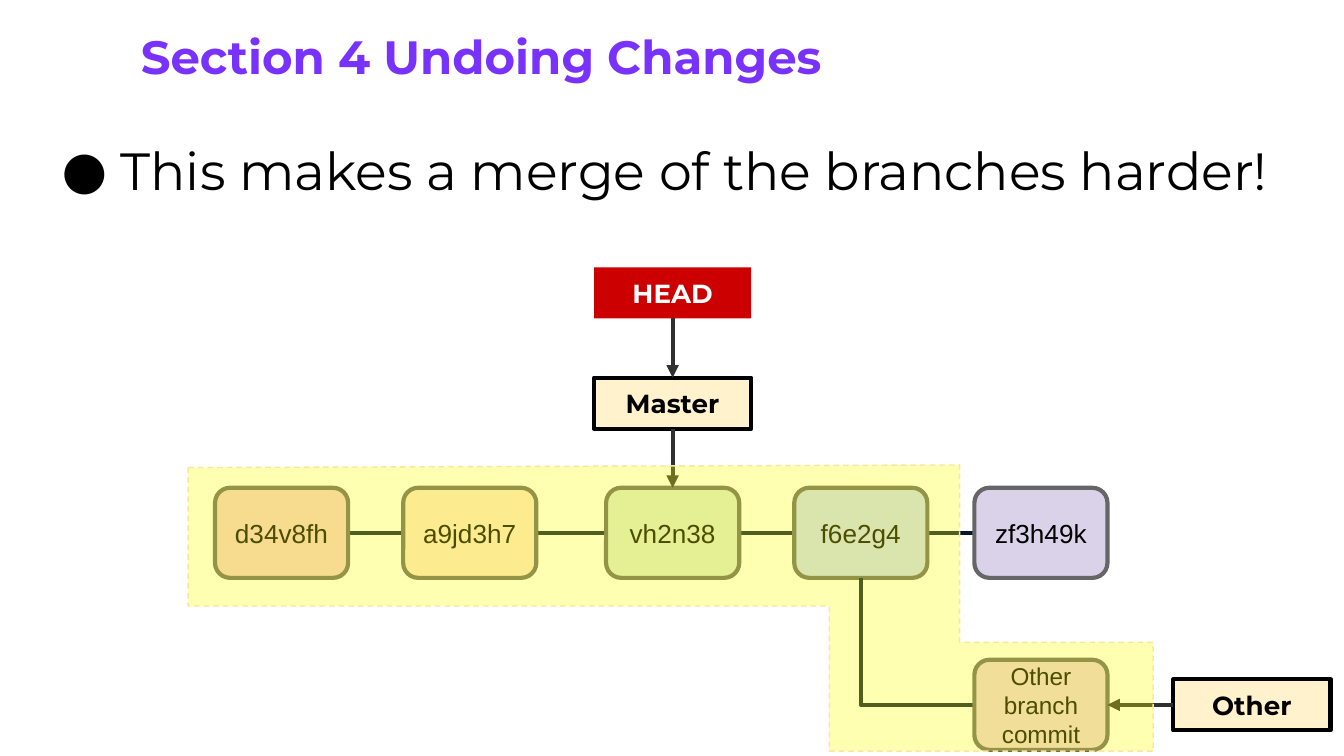
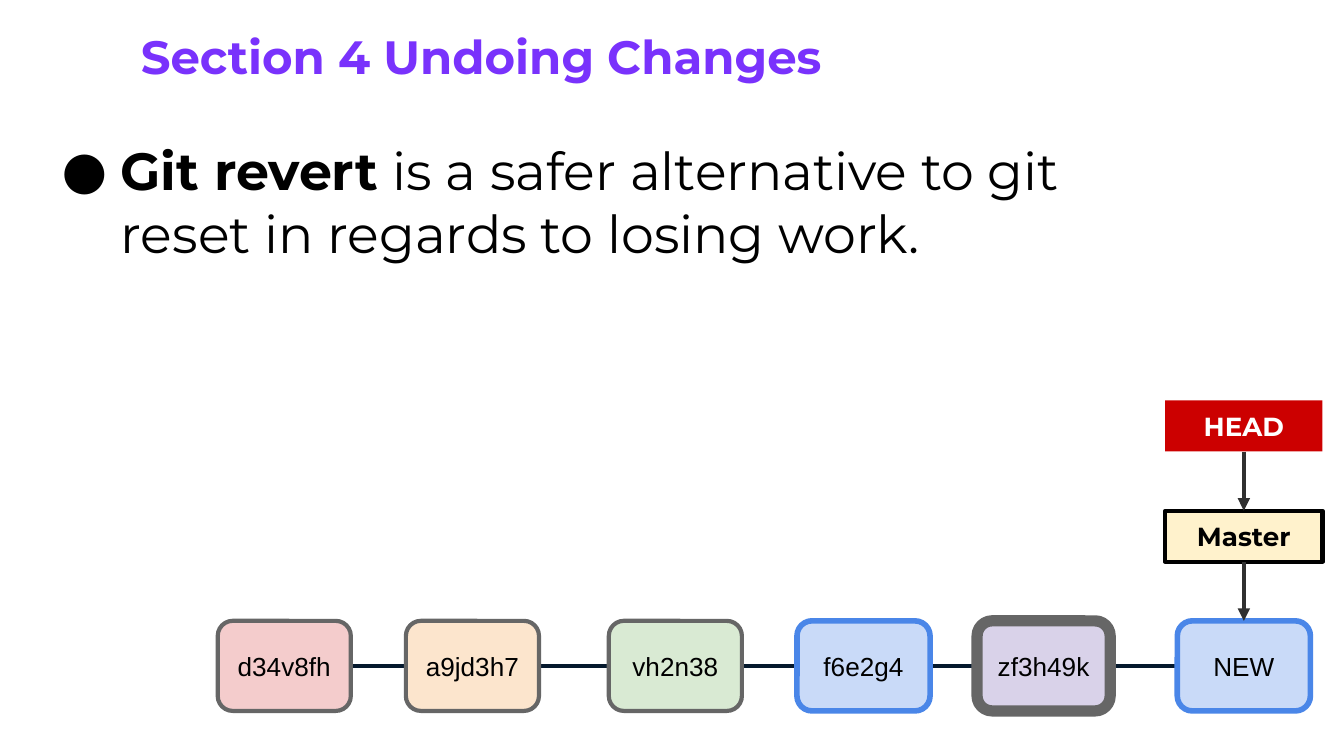
"""Build two slides that show how branches move when changes are undone."""
from pptx import Presentation
from pptx.dml.color import RGBColor
from pptx.enum.dml import MSO_LINE
from pptx.enum.shapes import MSO_CONNECTOR, MSO_SHAPE
from pptx.enum.text import MSO_ANCHOR, MSO_AUTO_SIZE, PP_ALIGN
from pptx.oxml.ns import qn
from pptx.util import Inches, Pt
from lxml.etree import SubElement

HUES = {
    "title": "7932FC", "text": "000000", "white": "FFFFFF", "edge": "666666",
    "link": "05192D", "arrow": "303030", "head": "CC0000", "tag": "FFF2CC",
    "pink": "F4CCCC", "peach": "FCE5CD", "green": "D9EAD3", "blue": "C9DAF8",
    "lilac": "D9D2E9", "rose": "EAD1DC", "new": "4A86E8",
    "glow": "FFFF00", "dash": "FFE599",
}
SANS, HEAVY = "Arial", "Montserrat"
WIDE, HIGH = Inches(10), Inches(5.625)
UNIT = WIDE // 1000
BOX_W, BOX_H = 99, 67
TAG_W, TAG_H = 117, 38
STEP = 82
COLS = [160, 300, 451, 591, 725, 874]
NODES = [("d34v8fh", "pink"), ("a9jd3h7", "peach"), ("vh2n38", "green"),
         ("f6e2g4", "blue"), ("zf3h49k", "lilac"), ("NEW", "blue")]


def grid(*cells):
    """Turn grid cells into slide lengths."""
    return [round(cell * UNIT) for cell in cells]


def hue(name):
    """Look up a named colour."""
    return RGBColor.from_string(HUES[name])


def style(para, size, font, color, bold=False):
    """Format each run of a paragraph."""
    for run in para.runs:
        run.font.size = Pt(size)
        run.font.name = font
        run.font.bold = bold
        run.font.color.rgb = hue(color)


def label(slide, area, text, size, color, bold=False):
    """Add a text box that grows with its text."""
    frame = slide.shapes.add_textbox(*grid(*area)).text_frame
    frame.word_wrap = True
    frame.auto_size = MSO_AUTO_SIZE.SHAPE_TO_FIT_TEXT
    frame.margin_top = frame.margin_bottom = Inches(0.1)
    para = frame.paragraphs[0]
    para.text = text
    style(para, size, HEAVY, color, bold)
    return para


def point(slide, area, text, lead=""):
    """Add a bullet point with an optional bold lead."""
    para = label(slide, area, lead or text, 28, "text", bool(lead))
    if lead:
        para.add_run().text = text
        style(para, 28, HEAVY, "text")
        para.runs[0].font.bold = True
    props = para._p.get_or_add_pPr()
    props.set("marL", str(Inches(0.5)))
    props.set("indent", str(Inches(-0.44)))
    tint = SubElement(props, qn("a:buClr"))
    SubElement(tint, qn("a:srgbClr"), val=HUES["text"])
    SubElement(props, qn("a:buFont"), typeface=HEAVY)
    SubElement(props, qn("a:buChar"), char="●")


def paint(shape, fill, edge=None, width=2.25):
    """Set fill and outline and drop the shadow."""
    shape.shadow.inherit = False
    shape.fill.solid()
    shape.fill.fore_color.rgb = hue(fill)
    if edge:
        shape.line.color.rgb = hue(edge)
        shape.line.width = Pt(width)
    else:
        shape.line.fill.background()


def block(slide, kind, area, text, size, font, ink, bold=False):
    """Add a shape with centred text."""
    shape = slide.shapes.add_shape(kind, *grid(*area))
    frame = shape.text_frame
    frame.word_wrap = True
    frame.vertical_anchor = MSO_ANCHOR.MIDDLE
    frame.margin_top = frame.margin_bottom = Inches(0.1)
    para = frame.paragraphs[0]
    para.text = text
    para.alignment = PP_ALIGN.CENTER
    style(para, size, font, ink, bold)
    return shape


def commit(slide, left, top, text, fill, edge="edge", width=2.25, size=14):
    """Add a rounded commit box."""
    box = block(slide, MSO_SHAPE.ROUNDED_RECTANGLE, (left, top, BOX_W, BOX_H),
                text, size, SANS, "text")
    paint(box, fill, edge, width)


def tag(slide, left, top, text, fill="tag", edge="text", ink="text"):
    """Add a branch tag."""
    box = block(slide, MSO_SHAPE.RECTANGLE, (left, top, TAG_W, TAG_H),
                text, 14, HEAVY, ink, True)
    paint(box, fill, edge)


def join(slide, start, end, color="link", kind=MSO_CONNECTOR.ELBOW):
    """Add a plain connector."""
    line = slide.shapes.add_connector(kind, *grid(*start, *end))
    line.line.color.rgb = hue(color)
    line.line.width = Pt(2.25)
    SubElement(line._element.spPr, qn("a:effectLst"))
    return line


def arrow(slide, start, end):
    """Add a straight arrow."""
    line = join(slide, start, end, "arrow", MSO_CONNECTOR.STRAIGHT)
    SubElement(line.line._get_or_add_ln(), qn("a:tailEnd"), type="triangle")


def corner(slide, start, end):
    """Add a link that runs down and then right."""
    props = join(slide, start, end)._element.spPr
    props.find(qn("a:prstGeom")).set("prst", "bentConnector2")
    props.find(qn("a:xfrm")).set("rot", str(180 * 60000))


def chain(slide, count, top, shift=0, edges=()):
    """Add a row of linked commits."""
    looks = dict(edges)
    lefts = [col + shift for col in COLS[:count]]
    mid = top + BOX_H / 2
    for left, after in zip(lefts, lefts[1:]):
        join(slide, (left + BOX_W, mid), (after, mid))
    for left, (text, fill) in zip(lefts, NODES):
        commit(slide, left, top, text, fill, *looks.get(text, ()))


def stack(slide, mid, top):
    """Point HEAD at Master and Master at a commit."""
    left = mid - TAG_W / 2
    tag(slide, left, top - 2 * STEP, "HEAD", "head", None, "white")
    tag(slide, left, top - STEP, "Master")
    for end in (top - STEP, top):
        arrow(slide, (mid, end - STEP + TAG_H), (mid, end))


def glow(slide, spots):
    """Add a see-through highlight."""
    pen = slide.shapes.build_freeform(*spots[0], scale=UNIT)
    pen.add_line_segments(spots[1:], close=True)
    shape = pen.convert_to_shape()
    paint(shape, "glow", "dash", 0.75)
    shape.line.dash_style = MSO_LINE.DASH
    tint = shape._element.spPr.find(qn("a:solidFill"))[0]
    SubElement(tint, qn("a:alpha"), val="30000")


def page(deck):
    """Add a blank slide with the section title."""
    slide = deck.slides.add_slide(deck.slide_layouts[6])
    label(slide, (95, 11, 731, 62), "Section 4 Undoing Changes", 25, "title", True)
    return slide


def merge(deck):
    """Build the slide about the harder merge."""
    slide = page(deck)
    point(slide, (30, 93, 925, 67), "This makes a merge of the branches harder!")
    top, low = 363, 491
    mid = low + BOX_H / 2
    chain(slide, 5, top)
    stack(slide, COLS[2] + BOX_W / 2, top)
    corner(slide, (COLS[3] + BOX_W / 2, top + BOX_H), (748, mid))
    commit(slide, COLS[4], low, "Other branch commit", "rose", size=13)
    tag(slide, 873, mid - TAG_H / 2, "Other")
    arrow(slide, (873, mid), (COLS[4] + BOX_W, mid))
    glow(slide, [(140, 348), (140, 451), (617, 451), (617, 559),
                 (858, 559), (858, 478), (714, 478), (714, 346)])


def revert(deck):
    """Build the slide about the safer way."""
    slide = page(deck)
    point(slide, (30, 93, 872, 114),
          "is a safer alternative to git reset in regards to losing work.",
          "Git revert ")
    top, shift = 462, 2
    fresh = ("new", 3)
    chain(slide, 6, top, shift,
          {"f6e2g4": fresh, "zf3h49k": ("edge", 6), "NEW": fresh})
    stack(slide, COLS[5] + shift + BOX_W / 2, top)


def main():
    """Build and save the deck."""
    deck = Presentation()
    deck.slide_width, deck.slide_height = WIDE, HIGH
    merge(deck)
    revert(deck)
    deck.save("out.pptx")


if __name__ == "__main__":
    main()
